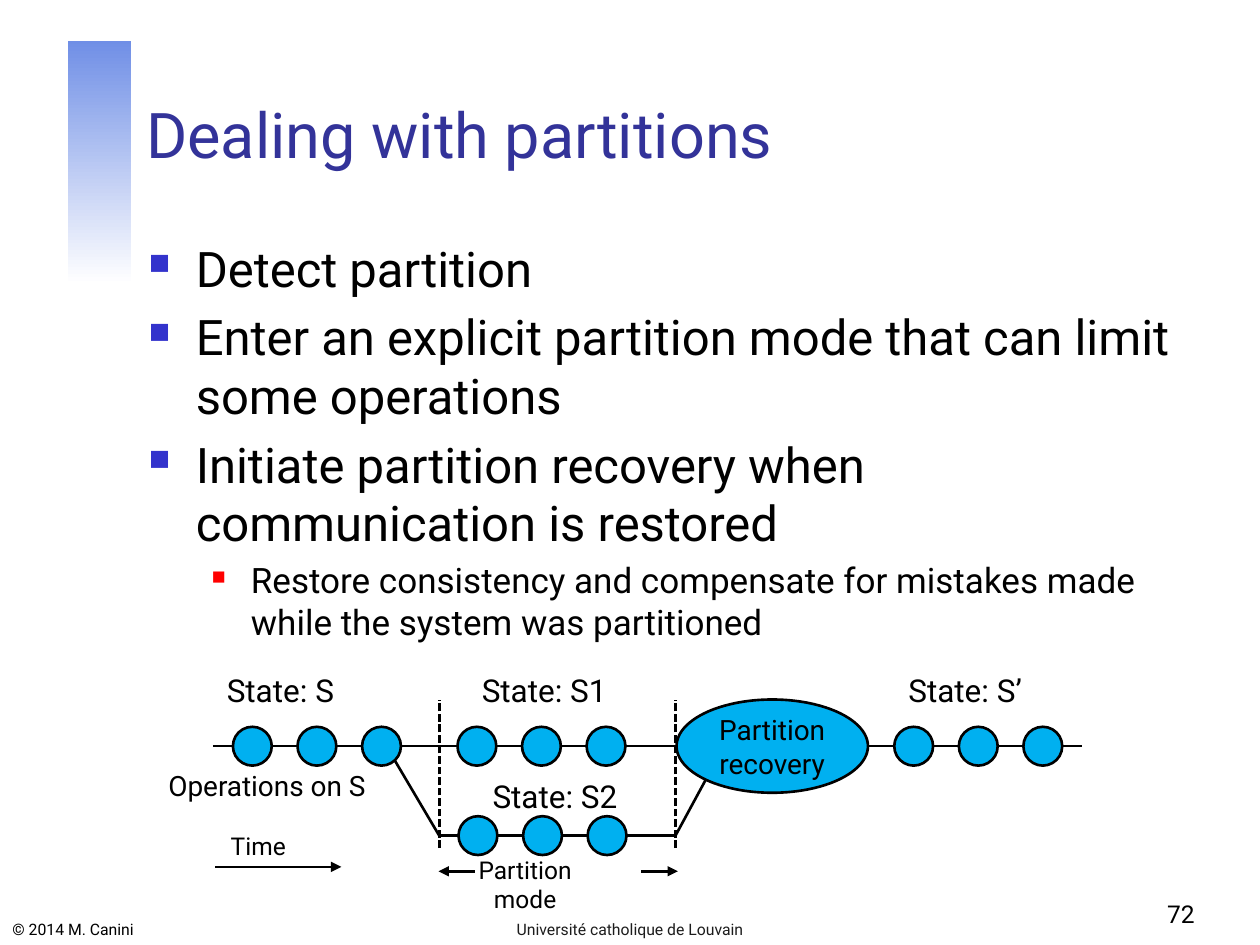
from dataclasses import dataclass

import pptx
import pptx.dml.color
import pptx.enum.dml
import pptx.enum.shapes
import pptx.enum.text
import pptx.oxml
import pptx.oxml.ns
import pptx.util
from lxml import etree

Pt = pptx.util.Pt
qn = pptx.oxml.ns.qn
Rgb = pptx.dml.color.RGBColor.from_string
Align = pptx.enum.text.PP_ALIGN
Anchor = pptx.enum.text.MSO_ANCHOR
Shape = pptx.enum.shapes.MSO_SHAPE


@dataclass(frozen=True)
class Theme:
    font: str = "Roboto"
    ink: str = "000000"
    footer: str = "1C1C1C"
    title: str = "333399"
    node: str = "00B0F0"
    band_top: str = "708FE6"
    band_bottom: str = "FFFFFF"
    main_bullet: str = "3333CC"
    sub_bullet: str = "FF0000"
    title_size: float = 36
    main_size: float = 28
    sub_size: float = 20
    state_size: float = 18
    note_size: float = 16
    small_size: float = 14
    footer_size: float = 9
    stroke: float = 1.5


THEME = Theme()


@dataclass(frozen=True)
class Label:
    text: str
    left: float
    top: float
    width: float
    height: float
    size: float
    align: Align = Align.CENTER
    anchor: Anchor = Anchor.TOP
    color: str = THEME.ink
    wrap: bool = False


@dataclass(frozen=True)
class Bullet:
    text: str
    size: float
    color: str
    percent: int
    margin: float
    hanging: float
    before: float
    level: int = 0


@dataclass(frozen=True)
class Node:
    left: float
    width: float
    height: float
    text: str = ""


@dataclass(frozen=True)
class Line:
    x1: float
    y1: float
    x2: float
    y2: float
    dashed: bool = False
    arrow: bool = False


DOT = 22.2
DOT_STEP = 36.9
MAIN_Y = 426.4
BRANCH_Y = 477.5
SPLIT_X = 251
MERGE_X = 386


def dots(left: float) -> list[Node]:
    return [Node(left + i * DOT_STEP, DOT, DOT) for i in range(3)]


MAIN_NODES = [
    *dots(133.1), *dots(261.4),
    Node(386.6, 109.4, 53.3, "Partition recovery"),
    *dots(511),
]
BRANCH_NODES = dots(262)

LINES = [
    Line(225.4, 434.2, SPLIT_X, BRANCH_Y),
    Line(MERGE_X, BRANCH_Y, 403.2, 445.7),
    *[Line(x, 484.6, x, 400.3, dashed=True) for x in (SPLIT_X, MERGE_X)],
    Line(123.1, 495.4, 195.1, 495.4, arrow=True),
    Line(366.5, 497.9, 387.4, 497.9, arrow=True),
    Line(271.4, 497.9, 250.6, 497.9, arrow=True),
]

LABELS = [
    Label("© 2014 M. Canini", 0, 520, 217.4, 20, THEME.footer_size,
          Align.LEFT, Anchor.BOTTOM, wrap=True),
    Label("72", 540, 498.2, 149.8, 36, THEME.small_size,
          Align.RIGHT, Anchor.BOTTOM, wrap=True),
    Label("Université catholique de Louvain", 246.2, 520, 227.5, 20,
          THEME.footer_size, Align.CENTER, Anchor.BOTTOM, THEME.footer, True),
    Label("State: S", 121, 379.8, 78.5, 28.8, THEME.state_size),
    Label("State: S1", 267.1, 379.8, 87.8, 28.8, THEME.state_size),
    Label("State: S2", 272.9, 440.3, 88.6, 28.8, THEME.state_size),
    Label("State: S’", 509.8, 379.8, 83.5, 28.8, THEME.state_size),
    Label("Operations on S", 87.8, 435.8, 129.6, 26.6, THEME.note_size),
    Label("Time", 124.6, 471.2, 46, 24.5, THEME.small_size),
    Label("Partition mode", 262.6, 484.8, 75, 41, THEME.small_size, wrap=True),
]

MAIN_STYLE = (THEME.main_size, THEME.main_bullet, 60, 27, 27)
BULLETS = [
    Bullet("Detect partition", *MAIN_STYLE, 0),
    Bullet("Enter an explicit partition mode that can limit some operations",
           *MAIN_STYLE, 5.6),
    Bullet("Initiate partition recovery when communication is restored",
           *MAIN_STYLE, 5.6),
    Bullet("Restore consistency and compensate for mistakes made while "
           "the system was partitioned",
           THEME.sub_size, THEME.sub_bullet, 55, 58.5, 22.5, 4, 1),
]


def style_para(para, size: float, color: str, align: Align) -> None:
    para.alignment = align
    for span in para.runs:
        span.font.name = THEME.font
        span.font.size = Pt(size)
        span.font.color.rgb = Rgb(color)


def draw_label(page, label: Label) -> None:
    box = page.shapes.add_textbox(
        Pt(label.left), Pt(label.top), Pt(label.width), Pt(label.height))
    frame = box.text_frame
    frame.word_wrap = label.wrap
    frame.vertical_anchor = label.anchor
    frame.text = label.text
    style_para(frame.paragraphs[0], label.size, label.color, label.align)


def draw_node(page, node: Node, y: float) -> None:
    oval = page.shapes.add_shape(
        Shape.OVAL, Pt(node.left), Pt(y - node.height / 2),
        Pt(node.width), Pt(node.height))
    oval.shadow.inherit = False
    oval.fill.solid()
    oval.fill.fore_color.rgb = Rgb(THEME.node)
    oval.line.color.rgb = Rgb(THEME.ink)
    oval.line.width = Pt(THEME.stroke)
    if node.text:
        oval.text_frame.text = node.text
        oval.text_frame.vertical_anchor = Anchor.MIDDLE
        style_para(oval.text_frame.paragraphs[0], THEME.note_size,
                   THEME.ink, Align.CENTER)


def draw_line(page, line: Line) -> None:
    connector = page.shapes.add_connector(
        pptx.enum.shapes.MSO_CONNECTOR.STRAIGHT,
        Pt(line.x1), Pt(line.y1), Pt(line.x2), Pt(line.y2))
    connector.line.color.rgb = Rgb(THEME.ink)
    connector.line.width = Pt(THEME.stroke)
    if line.dashed:
        connector.line.dash_style = pptx.enum.dml.MSO_LINE.SQUARE_DOT
    properties = connector.element.spPr
    if line.arrow:
        etree.SubElement(properties.find(qn("a:ln")), qn("a:tailEnd"), type="triangle")
    etree.SubElement(properties, qn("a:effectLst"))


def draw_chain(page, nodes: list[Node], start: float, end: float, y: float) -> None:
    exits = [start, *[node.left + node.width for node in nodes]]
    entries = [*[node.left for node in nodes], end]
    for x1, x2 in zip(exits, entries):
        draw_line(page, Line(x1, y, x2, y))
    for node in nodes:
        draw_node(page, node, y)


def draw_bullets(page, bullets: list[Bullet]) -> None:
    box = page.shapes.add_textbox(Pt(77.8), Pt(132.5), Pt(612), Pt(355))
    frame = box.text_frame
    frame.word_wrap = True
    frame.text = "\n".join(bullet.text for bullet in bullets)
    for para, bullet in zip(frame.paragraphs, bullets):
        para.level = bullet.level
        para.space_before = Pt(bullet.before)
        style_para(para, bullet.size, THEME.ink, Align.LEFT)
        properties = para._p.get_or_add_pPr()
        properties.set("marL", str(Pt(bullet.margin)))
        properties.set("indent", str(-Pt(bullet.hanging)))
        color = etree.SubElement(properties, qn("a:buClr"))
        etree.SubElement(color, qn("a:srgbClr"), val=bullet.color)
        etree.SubElement(properties, qn("a:buSzPct"), val=str(bullet.percent * 1000))
        etree.SubElement(properties, qn("a:buChar"), char="■")


def draw_band(page) -> None:
    band = page.shapes.add_shape(Shape.RECTANGLE, Pt(39), Pt(23.3), Pt(36), Pt(139))
    band.shadow.inherit = False
    band.line.fill.background()
    band.fill.gradient()
    band.fill.gradient_angle = 270
    for stop, color in zip(band.fill.gradient_stops, (THEME.band_top, THEME.band_bottom)):
        stop.color.rgb = Rgb(color)


def draw_title(page, text: str) -> None:
    title = page.shapes.title
    title.left, title.top, title.width, title.height = map(Pt, (76.3, 23.8, 613.4, 77.8))
    title.text_frame.text = text
    title.text_frame.auto_size = pptx.enum.text.MSO_AUTO_SIZE.NONE
    title.text_frame.vertical_anchor = Anchor.BOTTOM
    style_para(title.text_frame.paragraphs[0], THEME.title_size, THEME.title, Align.LEFT)


def main() -> None:
    deck = pptx.Presentation()
    deck.slide_width, deck.slide_height = Pt(720), Pt(540)
    page = deck.slides.add_slide(deck.slide_layouts.get_by_name("Title Only"))
    draw_band(page)
    draw_title(page, "Dealing with partitions")
    draw_bullets(page, BULLETS)
    draw_chain(page, MAIN_NODES, 121.7, 618.5, MAIN_Y)
    draw_chain(page, BRANCH_NODES, SPLIT_X, MERGE_X, BRANCH_Y)
    for line in LINES:
        draw_line(page, line)
    for label in LABELS:
        draw_label(page, label)
    deck.save("out.pptx")


if __name__ == "__main__":
    main()
